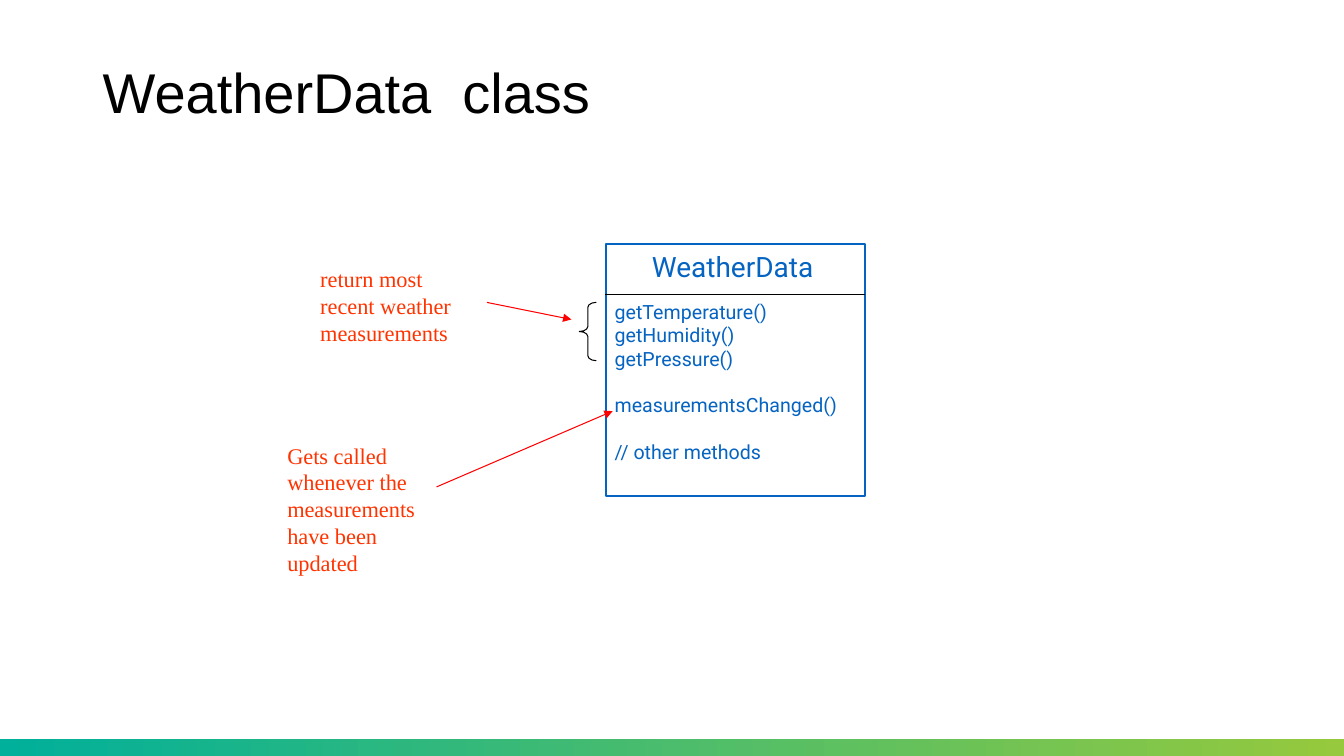
from dataclasses import dataclass

from lxml.etree import SubElement
from pptx import Presentation
from pptx.dml.color import RGBColor
from pptx.enum.shapes import MSO_CONNECTOR, MSO_SHAPE
from pptx.enum.text import MSO_ANCHOR, PP_ALIGN
from pptx.oxml.ns import qn
from pptx.util import Cm, Pt

TEAL = RGBColor(0x00, 0xB0, 0x9B)
LIME = RGBColor(0x96, 0xC9, 0x3D)
BLACK = RGBColor(0x00, 0x00, 0x00)
BLUE = RGBColor(0x05, 0x63, 0xC1)
RED = RGBColor(0xFF, 0x00, 0x00)
ORANGE_RED = RGBColor(0xFF, 0x33, 0x00)

PAGE_WIDTH, PAGE_HEIGHT = 33.87, 19.05
BAR_HEIGHT = 0.43
BLANK_LAYOUT = 6

Bounds = tuple[float, float, float, float]
Point = tuple[float, float]


@dataclass(frozen=True)
class Label:
    """A text box; each group of lines is set apart by group_gap points."""
    bounds: Bounds
    groups: tuple[tuple[str, ...], ...]
    font: str
    size: float
    color: RGBColor
    align: PP_ALIGN = PP_ALIGN.LEFT
    anchor: MSO_ANCHOR = MSO_ANCHOR.TOP
    side_inset: float = 0.25
    line_spacing: float = 1.0
    group_gap: float = 16.5


@dataclass(frozen=True)
class Outline:
    kind: MSO_SHAPE
    bounds: Bounds
    color: RGBColor
    weight: float
    adjustments: tuple[float, ...] = ()


@dataclass(frozen=True)
class Line:
    start: Point
    end: Point
    color: RGBColor
    arrow: bool = False


LABELS = (
    Label((2.34, 1.02, 29.21, 2.77), (("WeatherData  class",),), "Arial", 40, BLACK,
          anchor=MSO_ANCHOR.MIDDLE, line_spacing=0.9),
    Label((15.44, 6.15, 6.05, 1.09), (("WeatherData",),), "Roboto", 20, BLUE,
          align=PP_ALIGN.CENTER, side_inset=0.13),
    Label((15.24, 7.42, 6.15, 4.45),
          (("getTemperature()", "getHumidity()", "getPressure()"),
           ("measurementsChanged()",),
           ("// other methods",)), "Roboto", 14, BLUE),
    Label((7.82, 6.55, 4.01, 2.29), (("return most recent weather measurements",),),
          "Times New Roman", 16, ORANGE_RED),
    Label((6.99, 11.0, 4.01, 3.66),
          (("Gets called whenever the measurements have been updated",),),
          "Times New Roman", 16, ORANGE_RED),
)

OUTLINES = (
    Outline(MSO_SHAPE.RECTANGLE, (15.27, 6.15, 6.53, 6.35), BLUE, 1),
    Outline(MSO_SHAPE.LEFT_BRACE, (14.6, 7.62, 0.43, 1.47), BLACK, 0.75, (0.29, 0.5)),
)

LINES = (
    Line((15.24, 7.42), (21.79, 7.42), BLACK),
    Line((12.27, 7.62), (14.4, 8.05), RED, arrow=True),
    Line((11.0, 12.27), (15.44, 10.36), RED, arrow=True),
)


def set_attributes(target, values: dict) -> None:
    for name, value in values.items():
        setattr(target, name, value)


def draw_footer_bar(page) -> None:
    bar = page.shapes.add_shape(MSO_SHAPE.RECTANGLE, Cm(0), Cm(PAGE_HEIGHT - BAR_HEIGHT),
                                Cm(PAGE_WIDTH), Cm(BAR_HEIGHT))
    bar.shadow.inherit = False
    bar.line.fill.background()
    bar.fill.gradient()
    bar.fill.gradient_angle = 0
    for stop, color in zip(bar.fill.gradient_stops, (TEAL, LIME)):
        stop.color.rgb = color


def draw_outline(page, outline: Outline) -> None:
    shape = page.shapes.add_shape(outline.kind, *map(Cm, outline.bounds))
    shape.shadow.inherit = False
    shape.fill.background()
    shape.line.color.rgb = outline.color
    shape.line.width = Pt(outline.weight)
    for index, value in enumerate(outline.adjustments):
        shape.adjustments[index] = value


def draw_label(page, label: Label) -> None:
    box = page.shapes.add_textbox(*map(Cm, label.bounds))
    frame = box.text_frame
    set_attributes(frame, {
        "word_wrap": True,
        "vertical_anchor": label.anchor,
        "margin_left": Cm(label.side_inset),
        "margin_right": Cm(label.side_inset),
        "margin_top": Cm(0.13),
        "margin_bottom": Cm(0.13),
    })
    frame.text = "\n".join(line for group in label.groups for line in group)
    paragraphs = iter(frame.paragraphs)
    for group_index, group in enumerate(label.groups):
        for line_index in range(len(group)):
            para = next(paragraphs)
            opens_group = group_index > 0 and line_index == 0
            set_attributes(para, {
                "alignment": label.align,
                "line_spacing": label.line_spacing,
                "space_before": Pt(label.group_gap if opens_group else 0),
            })
            for span in para.runs:
                set_attributes(span.font, {"name": label.font, "size": Pt(label.size)})
                span.font.color.rgb = label.color


def draw_line(page, line: Line) -> None:
    connector = page.shapes.add_connector(MSO_CONNECTOR.STRAIGHT,
                                          *map(Cm, line.start + line.end))
    connector.line.color.rgb = line.color
    connector.line.width = Pt(0.75)
    properties = connector._element.spPr
    if line.arrow:
        SubElement(properties.find(qn("a:ln")), qn("a:tailEnd"), type="triangle")
    SubElement(properties, qn("a:effectLst"))


def main() -> None:
    deck = Presentation()
    set_attributes(deck, {"slide_width": Cm(PAGE_WIDTH), "slide_height": Cm(PAGE_HEIGHT)})
    page = deck.slides.add_slide(deck.slide_layouts[BLANK_LAYOUT])
    draw_footer_bar(page)
    for outline in OUTLINES:
        draw_outline(page, outline)
    for label in LABELS:
        draw_label(page, label)
    for line in LINES:
        draw_line(page, line)
    deck.save("out.pptx")


if __name__ == "__main__":
    main()
